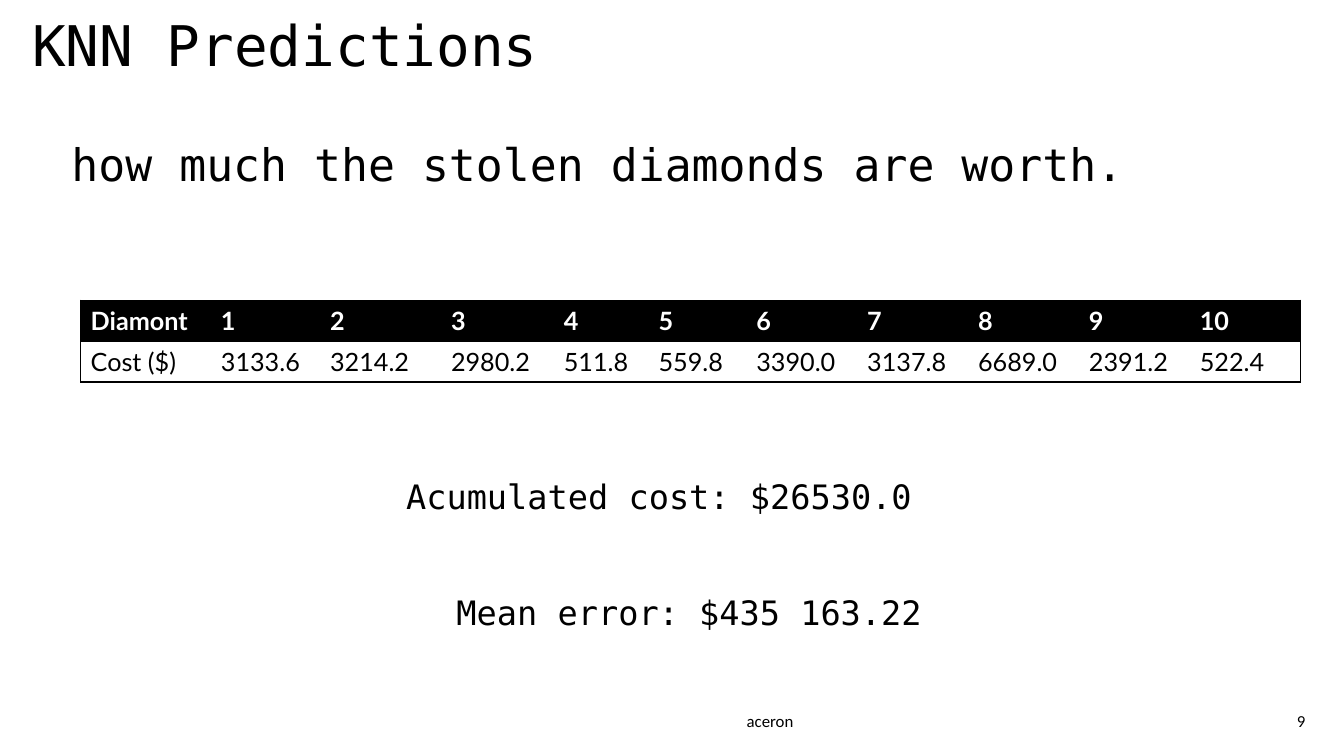
from lxml import etree
from pptx import Presentation
from pptx.dml.color import RGBColor
from pptx.enum.text import MSO_ANCHOR, PP_ALIGN
from pptx.oxml.ns import qn
from pptx.util import Pt

MIDDLE, TOP = MSO_ANCHOR.MIDDLE, MSO_ANCHOR.TOP
LEFT, RIGHT = PP_ALIGN.LEFT, PP_ALIGN.RIGHT
TITLE_ONLY = 5
MONO, SANS, TABLE_FONT = "DejaVu Sans Mono", "Calibri", "Lato"
BLACK, WHITE = "000000", "FFFFFF"

COLUMN_WIDTHS = [93, 78, 86.4, 80.6, 67.7, 69.8] + [79.2] * 5
ROW_HEIGHT = 29.2
COSTS = ["3133.6", "3214.2", "2980.2", "511.8", "559.8",
         "3390.0", "3137.8", "6689.0", "2391.2", "522.4"]


def color(hex_text):
    return RGBColor.from_string(hex_text)


def style_para(para, size, font, hex_text=BLACK, bold=False):
    para.font.size = Pt(size)
    para.font.name = font
    para.font.bold = bold
    para.font.color.rgb = color(hex_text)


def fill_text(shape, text, size, font, anchor, align=LEFT, spacing=None):
    frame = shape.text_frame
    frame.word_wrap = True
    frame.vertical_anchor = anchor
    frame.text = text
    para = frame.paragraphs[0]
    para.alignment = align
    para.line_spacing = spacing
    style_para(para, size, font)


def add_title(page, box, text):
    title = page.shapes.title
    title.left, title.top, title.width, title.height = map(Pt, box)
    fill_text(title, text, 40, MONO, MIDDLE, spacing=0.9)


def add_text(page, box, text, size, font=MONO, anchor=TOP, **options):
    shape = page.shapes.add_textbox(*map(Pt, box))
    fill_text(shape, text, size, font, anchor, **options)


def set_borders(cell, sides):
    """Draw a thin black line on the given sides and none on the others."""
    properties = cell._tc.get_or_add_tcPr()
    for side in "LRTB":
        line = etree.SubElement(properties, qn(f"a:ln{side}"), w=str(Pt(1)))
        if side in sides:
            fill = etree.SubElement(line, qn("a:solidFill"))
            etree.SubElement(fill, qn("a:srgbClr"), val=BLACK)
        else:
            etree.SubElement(line, qn("a:noFill"))


def add_cost_table(page, left, top):
    numbers = [str(number) for number in range(1, len(COSTS) + 1)]
    rows = [["Diamont"] + numbers, ["Cost ($)"] + COSTS]
    last = len(COLUMN_WIDTHS) - 1
    table = page.shapes.add_table(
        len(rows), len(COLUMN_WIDTHS), Pt(left), Pt(top),
        Pt(sum(COLUMN_WIDTHS)), Pt(ROW_HEIGHT * len(rows))).table
    for column, width in zip(table.columns, COLUMN_WIDTHS):
        column.width = Pt(width)
    for row_index, row in enumerate(rows):
        header = row_index == 0
        table.rows[row_index].height = Pt(ROW_HEIGHT)
        for column_index, text in enumerate(row):
            cell = table.cell(row_index, column_index)
            outer = {0: "L", last: "R"}.get(column_index, "")
            set_borders(cell, "TB" + outer)
            cell.fill.solid()
            cell.fill.fore_color.rgb = color(BLACK if header else WHITE)
            cell.vertical_anchor = MIDDLE
            cell.text = text
            style_para(cell.text_frame.paragraphs[0], 18, TABLE_FONT,
                       WHITE if header else BLACK, header)


def add_footer(page, top, height):
    add_text(page, (526.3, top, 263.5, height), "aceron", 12, SANS, MIDDLE)
    add_text(page, (838.8, top, 100.8, height), "9", 12, SANS, MIDDLE,
             align=RIGHT)


def build_predictions_slide(deck):
    page = deck.slides.add_slide(deck.slide_layouts[TITLE_ONLY])
    add_title(page, (15.8, -32.4, 398.9, 134.6), "KNN Predictions")
    add_text(page, (43.9, 97.9, 871.9, 42.5),
             "how much the stolen diamonds are worth.", 32,
             anchor=MIDDLE, spacing=0.9)
    add_cost_table(page, 57.6, 214.4)
    add_text(page, (283, 336.2, 480.2, 36), "Acumulated cost: $26530.0", 24)
    add_text(page, (319, 419, 480.2, 65.5), "Mean error: $435 163.22", 24)
    add_footer(page, 500.4, 28.8)


def main():
    deck = Presentation()
    deck.slide_width, deck.slide_height = Pt(960), Pt(540)
    build_predictions_slide(deck)
    deck.save("out.pptx")


if __name__ == "__main__":
    main()
